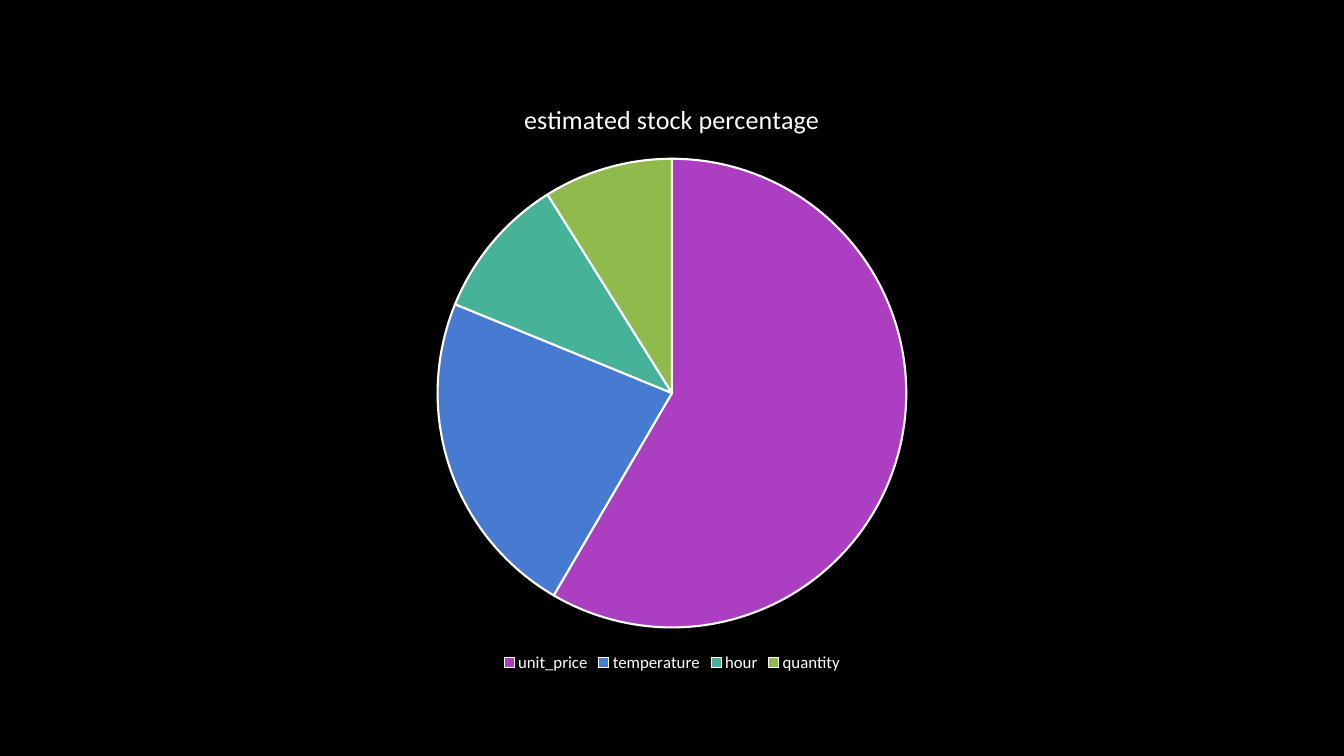
from dataclasses import dataclass

from pptx import Presentation
from pptx.chart.data import CategoryChartData
from pptx.dml.color import RGBColor
from pptx.enum.chart import XL_CHART_TYPE, XL_LEGEND_POSITION
from pptx.util import Pt

PIE = XL_CHART_TYPE.PIE
BOTTOM = XL_LEGEND_POSITION.BOTTOM
BLANK_LAYOUT = 6


@dataclass(frozen=True)
class Theme:
    font: str = "Calibri"
    background: str = "000000"
    text: str = "FFFFFF"
    slices: tuple = ("AC3EC1", "477BD1", "46B298", "90BA4C")
    base_size: float = 10
    legend_size: float = 12
    title_size: float = 18.6
    slice_border: float = 1.5


class SlideBuilder:
    def __init__(self, slide, theme):
        self.slide = slide
        self.theme = theme

    def fill(self, target, color):
        target.solid()
        target.fore_color.rgb = RGBColor.from_string(color)

    def style_font(self, font, size):
        font.name = self.theme.font
        font.size = Pt(size)
        font.bold = False
        font.color.rgb = RGBColor.from_string(self.theme.text)

    def background(self):
        self.fill(self.slide.background.fill, self.theme.background)

    def pie(self, heading, shares, left, top, width, height):
        theme = self.theme
        share_data = CategoryChartData()
        share_data.categories = list(shares)
        share_data.add_series(heading, list(shares.values()))
        chart = self.slide.shapes.add_chart(
            PIE, Pt(left), Pt(top), Pt(width), Pt(height), share_data
        ).chart
        self.style_font(chart.font, theme.base_size)

        chart.has_title = True
        title = chart.chart_title.text_frame
        title.text = heading
        self.style_font(title.paragraphs[0].runs[0].font, theme.title_size)
        chart.chart_title.include_in_layout = False

        chart.has_legend = True
        chart.legend.position = BOTTOM
        chart.legend.include_in_layout = False
        self.style_font(chart.legend.font, theme.legend_size)

        plot = chart.plots[0]
        plot.vary_by_categories = True
        for index, color in enumerate(theme.slices):
            wedge = plot.series[0].points[index].format
            self.fill(wedge.fill, color)
            self.fill(wedge.line.fill, theme.text)
            wedge.line.width = Pt(theme.slice_border)


def main():
    presentation = Presentation()
    presentation.slide_width = Pt(960)
    presentation.slide_height = Pt(540)
    layout = presentation.slide_layouts[BLANK_LAYOUT]
    builder = SlideBuilder(presentation.slides.add_slide(layout), Theme())

    builder.background()
    stock_shares = {"unit_price": 59, "temperature": 23, "hour": 10, "quantity": 9}
    builder.pie("estimated stock percentage", stock_shares, 160, 56.67, 640, 426.67)

    presentation.save("out.pptx")


if __name__ == "__main__":
    main()
